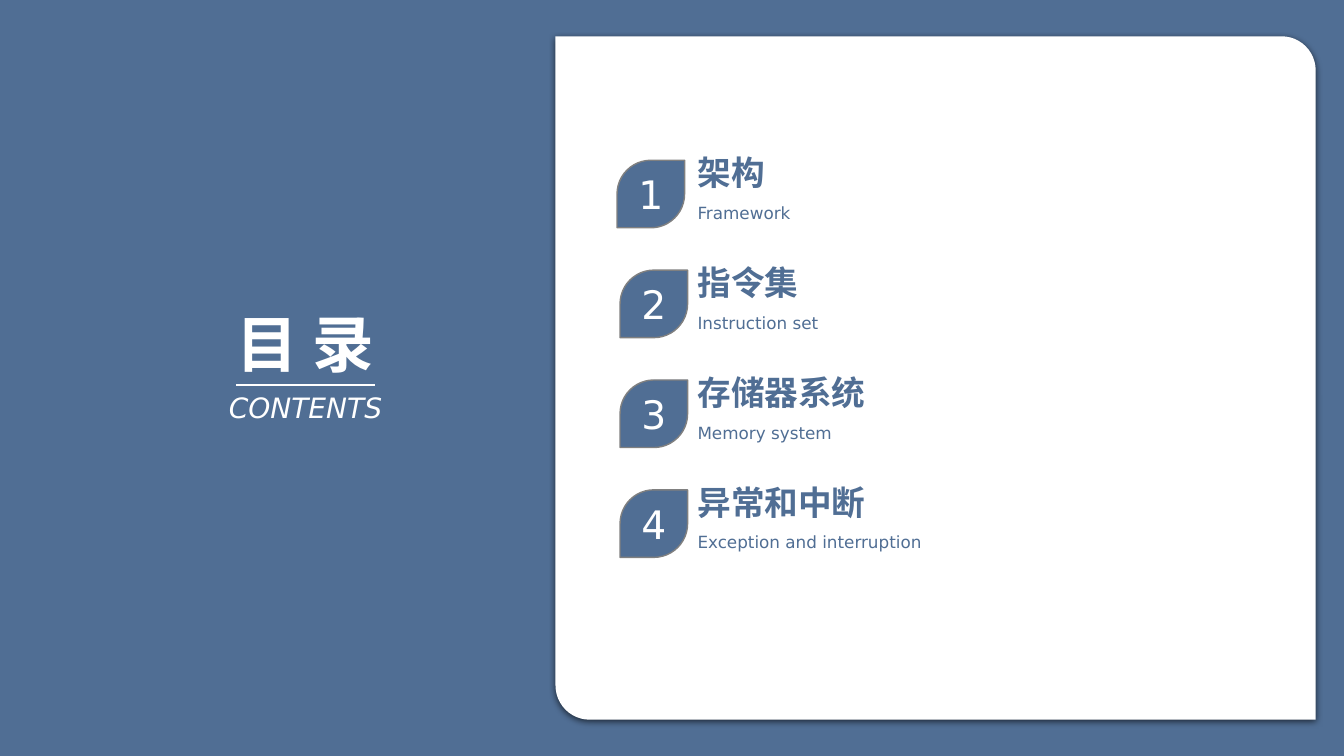
"""Build a contents slide with four numbered chapters on a white card."""
from typing import NamedTuple

from lxml import etree
from pptx import Presentation
from pptx.dml.color import RGBColor
from pptx.enum.shapes import MSO_CONNECTOR, MSO_SHAPE
from pptx.enum.text import MSO_ANCHOR, MSO_AUTO_SIZE, PP_ALIGN
from pptx.oxml import parse_xml
from pptx.oxml.ns import nsdecls, qn
from pptx.shapes.autoshape import Shape
from pptx.slide import Slide
from pptx.util import Inches, Pt

LEAF = MSO_SHAPE.ROUND_2_DIAG_RECTANGLE
LINE = MSO_CONNECTOR.STRAIGHT
TOP, MIDDLE = MSO_ANCHOR.TOP, MSO_ANCHOR.MIDDLE
GROW = MSO_AUTO_SIZE.SHAPE_TO_FIT_TEXT
LEFT, CENTER = PP_ALIGN.LEFT, PP_ALIGN.CENTER

BLUE = RGBColor(0x50, 0x6E, 0x94)
WHITE = RGBColor(0xFF, 0xFF, 0xFF)
GRAY = RGBColor(0x80, 0x80, 0x80)
FONT = "DejaVu Sans"
FIRST, STEP = 1.46, 1.09
SHADOW = (
    f'<a:effectLst {nsdecls("a")}>'
    '<a:outerShdw blurRad="57150" dist="19050" dir="5400000" algn="ctr" rotWithShape="0">'
    '<a:srgbClr val="000000"><a:alpha val="63000"/></a:srgbClr>'
    "</a:outerShdw></a:effectLst>"
)


class Box(NamedTuple):
    left: float
    top: float
    width: float
    height: float


class Style(NamedTuple):
    size: int
    color: RGBColor
    align: PP_ALIGN = LEFT
    bold: bool = False
    italic: bool = False


class Item(NamedTuple):
    name: str
    label: str
    left: float = 6.15


TITLE = Style(44, WHITE, CENTER, bold=True)
CAPTION = Style(20, WHITE, CENTER, italic=True)
NAME = Style(24, BLUE, bold=True)
LABEL = Style(12, BLUE)
NUMBER = Style(28, WHITE, CENTER)

ITEMS = (
    Item("架构", "Framework", 6.12),
    Item("指令集", "Instruction set"),
    Item("存储器系统", "Memory system"),
    Item("异常和中断", "Exception and interruption"),
)


def write(shape: Shape, text: str, style: Style) -> None:
    """Put one styled line of text into a shape."""
    shape.text_frame.text = text
    line = shape.text_frame.paragraphs[0]
    line.alignment = style.align
    font = line.runs[0].font
    font.name, font.size = FONT, Pt(style.size)
    font.bold, font.italic = style.bold, style.italic
    font.color.rgb = style.color


def fit(shape: Shape) -> None:
    """Let a text shape wrap and grow from its top."""
    frame = shape.text_frame
    frame.word_wrap, frame.auto_size = True, GROW
    frame.vertical_anchor = TOP


def add_text(slide: Slide, box: Box, text: str, style: Style) -> None:
    """Add a text box."""
    shape = slide.shapes.add_textbox(*map(Inches, box))
    fit(shape)
    write(shape, text, style)


def add_leaf(slide: Slide, box: Box, fill: RGBColor, bends: tuple[float, float]) -> Shape:
    """Add a rectangle with two rounded opposite corners."""
    shape = slide.shapes.add_shape(LEAF, *map(Inches, box))
    shape.adjustments[0], shape.adjustments[1] = bends
    shape.fill.solid()
    shape.fill.fore_color.rgb = fill
    return shape


def add_card(slide: Slide) -> None:
    """Add the white card with its soft shadow."""
    card = add_leaf(slide, Box(5.51, 0.36, 7.54, 6.78), WHITE, (0, 0.05))
    card.line.fill.background()
    card._element.spPr.append(parse_xml(SHADOW))


def add_head(slide: Slide) -> None:
    """Place the title, its rule and its caption."""
    title = slide.shapes.title
    title.left, title.top, title.width, title.height = map(Inches, (1.72, 2.98, 2.62, 0.84))
    fit(title)
    write(title, "目 录", TITLE)
    add_text(slide, Box(1.72, 3.82, 2.62, 0.44), "CONTENTS", CAPTION)
    rule = slide.shapes.add_connector(LINE, *map(Inches, (2.34, 3.82, 3.72, 3.82)))
    rule.line.color.rgb, rule.line.width = WHITE, Pt(1.5)
    etree.SubElement(rule._element.spPr, qn("a:effectLst"))


def add_item(slide: Slide, rank: int, item: Item) -> None:
    """Add one chapter with its number, name and label."""
    top = FIRST + (rank - 1) * STEP
    add_text(slide, Box(6.82, top, 5.66, 0.5), item.name, NAME)
    add_text(slide, Box(6.82, top + 0.5, 5.66, 0.3), item.label, LABEL)
    badge = add_leaf(slide, Box(item.left, top + 0.13, 0.67, 0.67), BLUE, (0.5, 0))
    badge.line.color.rgb, badge.line.width = GRAY, Pt(1)
    badge.shadow.inherit = False
    badge.text_frame.vertical_anchor = MIDDLE
    write(badge, str(rank), NUMBER)


def main() -> None:
    """Build and save the slide."""
    deck = Presentation()
    deck.slide_width, deck.slide_height = Inches(13.33), Inches(7.5)
    slide = deck.slides.add_slide(deck.slide_layouts[5])
    slide.background.fill.solid()
    slide.background.fill.fore_color.rgb = BLUE
    add_card(slide)
    add_head(slide)
    for rank, item in enumerate(ITEMS, 1):
        add_item(slide, rank, item)
    deck.save("out.pptx")


if __name__ == "__main__":
    main()
